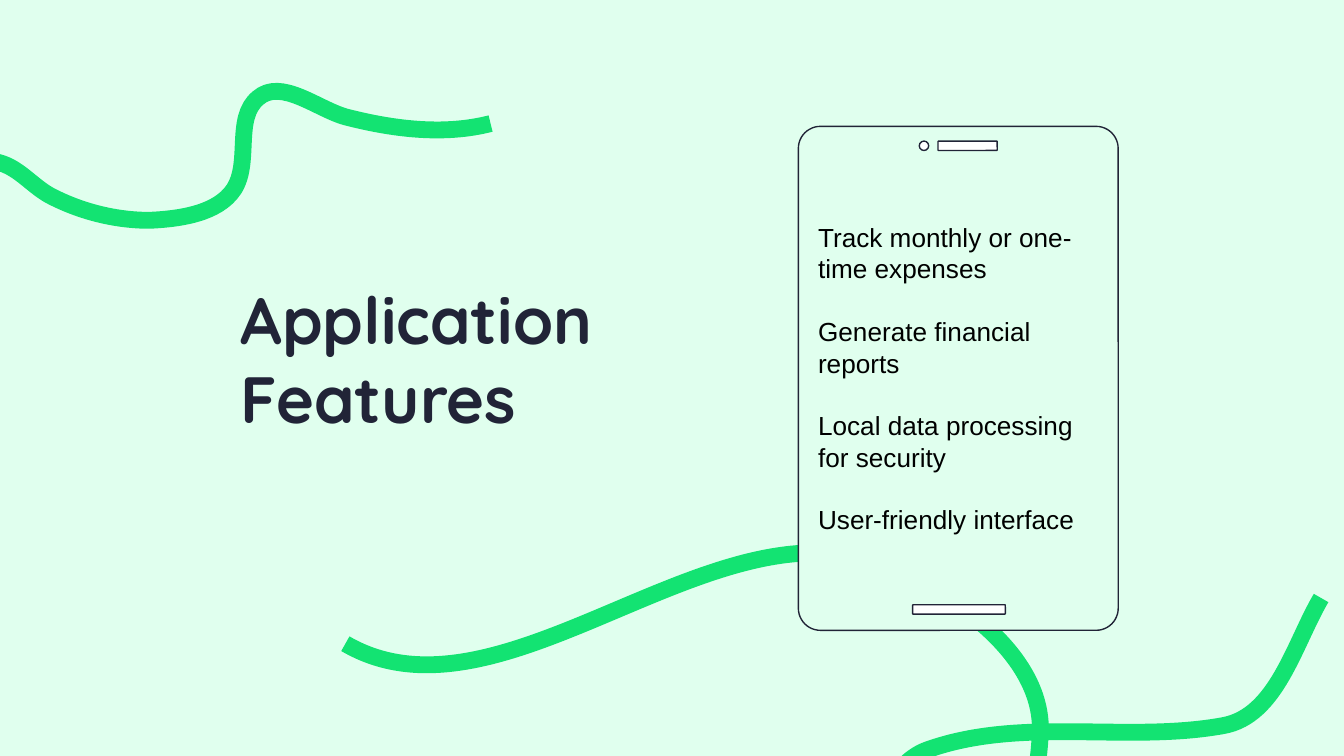
from lxml import etree
from pptx import Presentation
from pptx.dml.color import RGBColor
from pptx.enum import shapes, text
from pptx.oxml.ns import qn
from pptx.util import Inches, Pt

COLORS = {"mint": "E0FFEE", "green": "13E372", "navy": "212437",
          "white": "FFFFFF", "black": "000000"}

TITLE = "Application Features"
FEATURES = [
    "Track monthly or one-time expenses",
    "Generate financial reports",
    "Local data processing for security",
    "User-friendly interface",
]
TITLE_FORMAT = {"name": "Quicksand", "size": Pt(35), "bold": True}
FEATURE_FORMAT = {"name": "Arial", "size": Pt(14)}
TITLE_PITCH, FEATURE_PITCH = Pt(42.3), Pt(16.8)

# Each ribbon: a start point, then three points for every Bezier segment
LOWER_RIBBON = [
    (9.83, 4.45),
    (9.63, 4.79), (9.5, 5.33), (9.1, 5.4),
    (8.38, 5.53), (7.6, 5.33), (6.9, 5.58),
    (6.62, 5.68), (6.45, 6.11), (6.55, 6.38),
    (6.63, 6.61), (7.01, 6.74), (7.22, 6.62),
    (7.58, 6.41), (7.72, 5.89), (7.74, 5.47),
    (7.78, 4.88), (7.08, 4.39), (6.52, 4.19),
    (5.27, 3.74), (3.72, 5.46), (2.57, 4.79),
]
UPPER_RIBBON = [
    (-0.84, 1.41),
    (-0.56, 1.33), (-0.28, 1.13), (-0.01, 1.21),
    (0.15, 1.25), (0.25, 1.4), (0.4, 1.47),
    (0.62, 1.58), (0.87, 1.64), (1.11, 1.64),
    (1.34, 1.63), (1.62, 1.59), (1.74, 1.41),
    (1.87, 1.21), (1.74, 0.88), (1.92, 0.73),
    (2.09, 0.58), (2.36, 0.81), (2.57, 0.87),
    (2.92, 0.96), (3.3, 1.01), (3.65, 0.92),
]

ROUNDED, OVAL = shapes.MSO_SHAPE.ROUNDED_RECTANGLE, shapes.MSO_SHAPE.OVAL
PHONE_BODY = (ROUNDED, "mint", (5.94, 0.94, 2.38, 3.75))
PHONE_DETAILS = [
    (ROUNDED, "white", (6.98, 1.05, 0.44, 0.07)),  # speaker
    (ROUNDED, "white", (6.79, 4.5, 0.69, 0.07)),   # home bar
    (OVAL, "white", (6.84, 1.05, 0.07, 0.07)),     # camera
]


def rgb(color):
    return RGBColor.from_string(COLORS[color])


def outline(shape, color, width):
    shape.shadow.inherit = False
    shape.line.color.rgb = rgb(color)
    shape.line.width = Pt(width)


def add_ribbon(slide, points):
    """Draw an open outline, then turn each three line steps into one Bezier."""
    scaled = [(Inches(x), Inches(y)) for x, y in points]
    builder = slide.shapes.build_freeform(*scaled[0])
    builder.add_line_segments(scaled[1:], close=False)
    ribbon = builder.convert_to_shape()
    ribbon.fill.background()
    outline(ribbon, "green", 9)
    outline_path = next(ribbon._element.iter(qn("a:path")))
    steps = outline_path.findall(qn("a:lnTo"))
    for first in range(0, len(steps), 3):
        curve = etree.SubElement(outline_path, qn("a:cubicBezTo"))
        for step in steps[first:first + 3]:
            curve.append(step[0])
            outline_path.remove(step)


def add_phone_part(slide, kind, fill, box):
    part = slide.shapes.add_shape(kind, *map(Inches, box))
    if kind == ROUNDED:
        part.adjustments[0] = 0.069
    part.fill.solid()
    part.fill.fore_color.rgb = rgb(fill)
    outline(part, "navy", 0.75)
    return part


def write(shape, lines, font_format, color, pitch, anchor):
    """Fill a shape with left-aligned paragraphs, one line pitch apart."""
    frame = shape.text_frame
    frame.word_wrap = True
    frame.vertical_anchor = anchor
    for side in ("left", "top", "right", "bottom"):
        setattr(frame, f"margin_{side}", Inches(0.1))
    for index, line in enumerate(lines):
        paragraph = frame.add_paragraph() if index else frame.paragraphs[0]
        paragraph.alignment = text.PP_ALIGN.LEFT
        paragraph.line_spacing = pitch
        if index:
            paragraph.space_before = pitch
        run = paragraph.add_run()
        run.text = line
        for key, value in font_format.items():
            setattr(run.font, key, value)
        run.font.color.rgb = rgb(color)


def main():
    deck = Presentation()
    deck.slide_width = Inches(10)
    deck.slide_height = deck.slide_width * 9 // 16
    slide = deck.slides.add_slide(deck.slide_layouts[6])
    slide.background.fill.solid()
    slide.background.fill.fore_color.rgb = rgb("mint")

    add_ribbon(slide, LOWER_RIBBON)
    phone = add_phone_part(slide, *PHONE_BODY)
    write(phone, FEATURES, FEATURE_FORMAT, "black", FEATURE_PITCH,
          text.MSO_ANCHOR.MIDDLE)
    for detail in PHONE_DETAILS:
        add_phone_part(slide, *detail)

    title = slide.shapes.add_textbox(*map(Inches, (1.69, 2.72, 3.77, 0.63)))
    write(title, [TITLE], TITLE_FORMAT, "navy", TITLE_PITCH,
          text.MSO_ANCHOR.BOTTOM)
    add_ribbon(slide, UPPER_RIBBON)
    deck.save("out.pptx")


if __name__ == "__main__":
    main()
